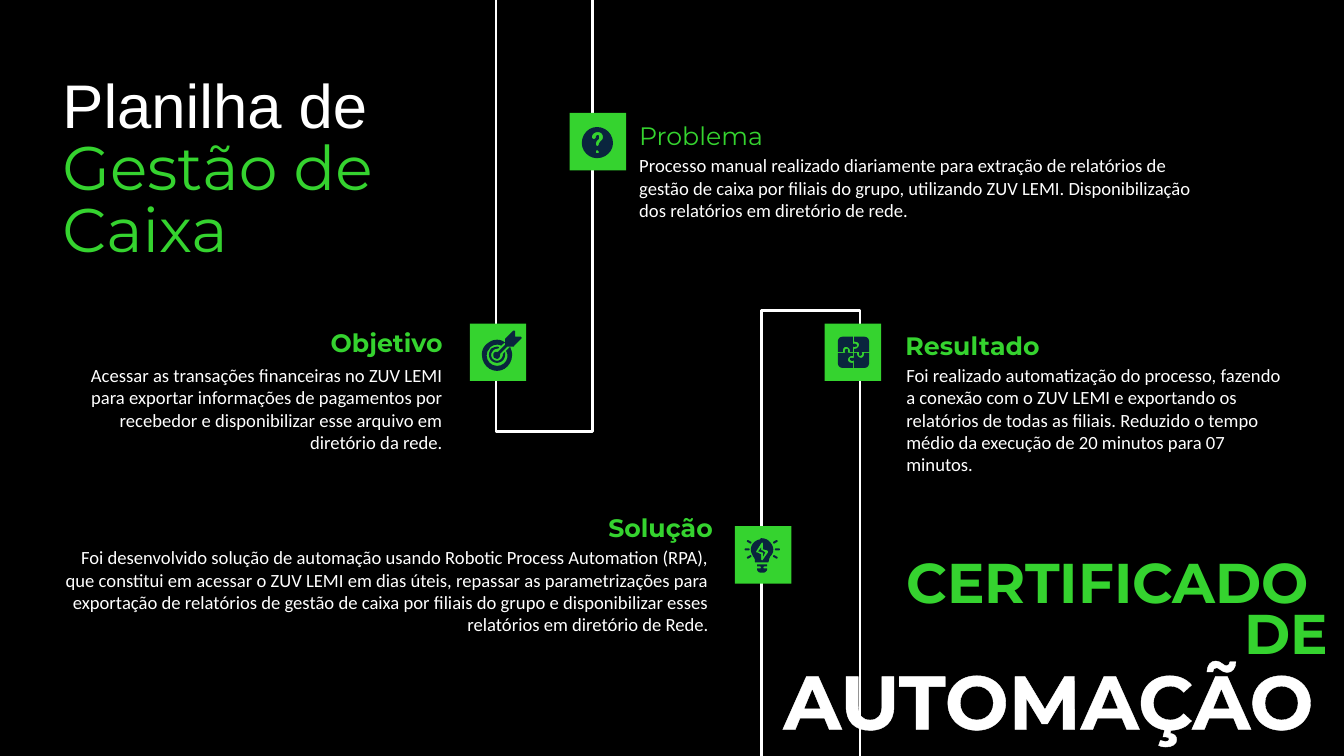
import math
from dataclasses import dataclass
from typing import Optional

from lxml import etree
from pptx import Presentation
from pptx import util as u
from pptx.dml.color import RGBColor
from pptx.enum import shapes, text
from pptx.oxml import ns

BLACK = RGBColor(0x00, 0x00, 0x00)
WHITE = RGBColor(0xFF, 0xFF, 0xFF)
GREEN = RGBColor(0x35, 0xD3, 0x2F)
NAVY = RGBColor(0x0A, 0x25, 0x3E)
LEFT, RIGHT = text.PP_ALIGN.LEFT, text.PP_ALIGN.RIGHT
TOP, BOTTOM = text.MSO_ANCHOR.TOP, text.MSO_ANCHOR.BOTTOM
INSET = 0.13
CURVE_STEPS = 6

Point = tuple[float, float]


@dataclass
class Area:
    left: float
    top: float
    width: float
    height: float

    def lengths(self) -> list[u.Length]:
        return [u.Inches(v) for v in (self.left, self.top, self.width, self.height)]


@dataclass
class Line:
    wording: str
    size: float
    font: str = "Montserrat"
    color: RGBColor = GREEN
    bold: bool = False
    outline: float = 0


@dataclass
class Label:
    area: Area
    lines: list[Line]
    align: text.PP_ALIGN = LEFT
    anchor: text.MSO_ANCHOR = TOP
    spacing: Optional[float | u.Length] = None


def body(area: Area, wording: str, align: text.PP_ALIGN = LEFT) -> Label:
    return Label(area, [Line(wording, 13.3, "Calibri", WHITE)], align)


def heading(area: Area, wording: str, align: text.PP_ALIGN = LEFT) -> Label:
    return Label(area, [Line(wording, 18, bold=True)], align, BOTTOM, 0.9)


def banner(area: Area, wording: str, size: float, color: RGBColor) -> Label:
    return Label(area, [Line(wording, size, color=color, bold=True, outline=1.75)], spacing=0.9)


FRAMES = [Area(7.55, 3.08, 0.98, 4.53), Area(4.92, -0.12, 0.96, 4.4)]
TILES = [Area(left, top, 0.56, 0.57)
         for left, top in ((5.65, 1.12), (4.66, 3.21), (8.18, 3.21), (7.29, 5.22))]

LABELS = [
    body(Area(6.21, 1.4, 5.82, 1.62),
         "Processo manual realizado diariamente para extração de relatórios de gestão de caixa "
         "por filiais do grupo, utilizando ZUV LEMI. Disponibilização dos relatórios em "
         "diretório de rede."),
    body(Area(8.86, 3.48, 4.06, 1.62),
         "Foi realizado automatização do processo, fazendo a conexão com o ZUV LEMI e "
         "exportando os relatórios de todas as filiais. Reduzido o tempo médio da execução de "
         "20 minutos para 07 minutos."),
    body(Area(0.52, 3.48, 4, 1.62),
         "Acessar as transações financeiras no ZUV LEMI para exportar informações de pagamentos "
         "por recebedor e disponibilizar esse arquivo em diretório da rede.", RIGHT),
    body(Area(0.5, 5.29, 6.66, 1.62),
         "Foi desenvolvido solução de automação usando Robotic Process Automation (RPA), que "
         "constitui em acessar o ZUV LEMI em dias úteis, repassar as parametrizações para "
         "exportação de relatórios de gestão de caixa por filiais do grupo e disponibilizar "
         "esses relatórios em diretório de Rede.", RIGHT),
    Label(Area(0.49, 0.66, 4.03, 1.85),
          [Line("Planilha de", 44, "Arial", WHITE), Line("Gestão de", 44), Line("Caixa", 44)],
          spacing=u.Pt(44)),
    Label(Area(6.21, 1.06, 3.76, 0.56), [Line("Problema", 18)], anchor=BOTTOM),
    heading(Area(8.85, 3.15, 3.82, 0.56), "Resultado"),
    heading(Area(0.5, 4.96, 6.7, 0.56), "Solução", RIGHT),
    heading(Area(0.7, 3.12, 3.82, 0.56), "Objetivo", RIGHT),
    banner(Area(8.86, 5.38, 5.06, 0.84), "CERTIFICADO", 40, GREEN),
    banner(Area(12.21, 5.88, 1.22, 0.96), "DE", 40, GREEN),
    banner(Area(7.64, 6.46, 5.82, 0.84), "AUTOMAÇÃO", 54, WHITE),
]

QUESTION = """M 593 131 C 596 131 598 133 598 136 C 598 138 597 139 596 140
C 595 141 594 142 594 143 C 594 144 593 145 592.5 145 C 592 145 591 144 591 143
C 591 141 592 139 594 138 C 594 137 594 137 594 136 C 594 135 594 134 593 134
C 592 134 591 135 591 136 C 591 137 590 138 589 138 C 588 138 587 137 587 136
C 587 133 590 131 593 131
M 592 149 C 593 149 594 150 594 151 C 594 152 593 152 592 152 C 591 152 591 151 591 151
C 591 149 592 149 592 149
M 592 126 C 584 126 577 133 577 142 C 577 150 584 157 592 157
C 601 157 608 150 608 142 C 608 133 601 126 592 126"""
DART = """M 510 328 C 509 328 509 328 509 328 L 502 335 C 502 335 501 336 501 336 L 501 342
L 494 349 C 494 349 493 349 493 349 C 492 349 491 349 490 350 C 489 351 489 353 490 355
C 491 355 492 356 493 356 C 494 356 495 355 495 355 C 496 354 496 352 496 351 L 503 344
L 509 344 C 509 344 510 344 510 343 L 517 336 C 518 335 517 334 516 334 L 511 334
L 511 329 C 511 328 510 328 510 328"""
INNER_RING = """M 493 344 C 491 344 489 345 487 346 C 486 348 485 350 485 352
C 485 357 489 360 493 360 C 497 360 501 357 501 352 C 501 351 501 350 501 349 L 499 351
C 499 355 496 358 493 358 C 488 358 485 352 489 348 C 490 347 491 346 493 346
C 493 346 493 346 494 346 L 495 345 C 495 344 494 344 493 344"""
OUTER_RING = """M 493 337 C 489 337 485 339 482 342 C 479 345 478 348 478 352
C 478 361 485 368 493 368 C 501 368 508 361 508 352 C 508 349 507 347 506 344
C 505 345 503 347 502 348 C 506 355 501 363 493 363 C 484 363 479 352 486 345
C 488 343 490 342 493 342 C 494 342 496 342 497 343 C 498 342 500 340 501 340
C 499 338 496 337 493 337"""
PUZZLE_PIECE = """M 847 334 L 847 339 C 848 339 848 339 848 339 C 850 339 852 340 852 342
C 852 344 850 346 848 346 C 848 346 848 346 847 346 L 847 349 L 851 349
C 852 349 853 350 852 350 C 852 350 852 351 852 351 C 852 352 852 353 853 353
C 854 353 855 352 855 351 C 855 351 855 350 855 350 C 854 350 855 349 855 349
L 862 349 L 862 339 C 862 336 860 334 857 334 L 847 334"""
BULB = """M 756 538 C 756 538 757 539 757 539 L 757 545 L 761 546 C 761 546 762 547 762 547
C 762 547 762 547 762 548 L 757 555 C 757 556 756 556 756 556 C 755 556 755 555 755 555
L 755 550 L 751 548 C 751 548 750 548 750 548 C 750 547 750 547 750 547 L 755 539
C 755 539 756 538 756 538
M 756 534 C 755 534 754 534 754 535 C 749 536 746 539 745 543 C 744 547 746 550 747 552
C 750 556 748 556 749 558 L 762 558 C 763 556 762 556 764 552 C 766 550 767 548 767 545
C 767 542 765 539 763 537 C 761 535 758 534 756 534"""
BOLT = """M 755 543 L 752 547 L 756 548 C 757 548 757 549 757 549 L 757 552 L 759 548
L 756 546 C 755 546 755 546 755 545 L 755 543"""
BULB_BASE = """M 751 560 L 751 562 L 754 562 C 755 562 755 564 754 564 L 751 564 L 751 565
C 751 566 752 568 754 568 L 758 568 C 759 568 761 566 761 565 L 761 564 L 758 564
C 757 564 757 562 758 562 L 761 562 L 761 560 L 751 560"""
OUTLINES = [QUESTION, DART, INNER_RING, OUTER_RING, BULB, BOLT, BULB_BASE]
PUZZLE_CENTER = (846.5, 349.5)
BULB_CENTER = (7.56, 5.45)
RAY_ANGLES = (-30, 0, 30, 150, 180, 210)


def bezier(a: Point, b: Point, c: Point, d: Point) -> list[Point]:
    def at(t: float, axis: int) -> float:
        s = 1 - t
        return s**3 * a[axis] + 3 * s * s * t * b[axis] + 3 * s * t * t * c[axis] + t**3 * d[axis]

    return [(at(i / CURVE_STEPS, 0), at(i / CURVE_STEPS, 1)) for i in range(1, CURVE_STEPS + 1)]


def contours(outline: str) -> list[list[Point]]:
    result: list[list[Point]] = []
    for step in outline.replace("M", "|M").replace("L", "|L").replace("C", "|C").split("|")[1:]:
        values = [float(value) for value in step[1:].split()]
        points = list(zip(values[::2], values[1::2]))
        if step[0] == "M":
            result.append(points)
        elif step[0] == "L":
            result[-1] += points
        else:
            result[-1] += bezier(result[-1][-1], *points)
    return result


def quarter_turns(point: Point, turns: int) -> Point:
    x, y = point[0] - PUZZLE_CENTER[0], point[1] - PUZZLE_CENTER[1]
    for _ in range(turns):
        x, y = y, -x
    return x + PUZZLE_CENTER[0], y + PUZZLE_CENTER[1]


def paint(shape, color: RGBColor) -> None:
    shape.shadow.inherit = False
    shape.fill.solid()
    shape.fill.fore_color.rgb = color
    shape.line.fill.background()


def draw_outline(page, outline: str, turns: int = 0) -> None:
    builder = None
    for contour in contours(outline):
        points = [tuple(u.Inches(v / 100) for v in quarter_turns(point, turns))
                  for point in contour]
        if builder is None:
            builder = page.shapes.build_freeform(*points[0])
        else:
            builder.move_to(*points[0])
        builder.add_line_segments(points[1:], close=True)
    paint(builder.convert_to_shape(), NAVY)


def draw_ray(page, angle: int) -> None:
    x = BULB_CENTER[0] + 0.15 * math.cos(math.radians(angle))
    y = BULB_CENTER[1] + 0.15 * math.sin(math.radians(angle))
    ray = page.shapes.add_shape(shapes.MSO_SHAPE.ROUNDED_RECTANGLE,
                                *Area(x - 0.025, y - 0.01, 0.05, 0.02).lengths())
    ray.adjustments[0] = 0.5
    ray.rotation = angle
    paint(ray, NAVY)


def draw_frame(page, area: Area) -> None:
    frame = page.shapes.add_shape(shapes.MSO_SHAPE.RECTANGLE, *area.lengths())
    frame.shadow.inherit = False
    frame.fill.background()
    frame.line.color.rgb = WHITE
    frame.line.width = u.Pt(2)


def outline_span(span, line: Line) -> None:
    stroke = etree.Element(ns.qn("a:ln"), w=str(u.Pt(line.outline)))
    fill = etree.SubElement(stroke, ns.qn("a:solidFill"))
    etree.SubElement(fill, ns.qn("a:srgbClr"), val=str(line.color))
    span._r.get_or_add_rPr().insert(0, stroke)


def draw_label(page, label: Label) -> None:
    box = page.shapes.add_textbox(*label.area.lengths())
    frame = box.text_frame
    frame.word_wrap = True
    frame.vertical_anchor = label.anchor
    frame.margin_left = frame.margin_right = u.Inches(INSET)
    frame.margin_top = frame.margin_bottom = u.Inches(INSET)
    for index, line in enumerate(label.lines):
        para = frame.add_paragraph() if index else frame.paragraphs[0]
        para.alignment = label.align
        para.line_spacing = label.spacing
        span = para.add_run()
        span.text = line.wording
        para.font.name, para.font.size = line.font, u.Pt(line.size)
        para.font.bold = line.bold
        para.font.color.rgb = line.color
        if line.outline:
            outline_span(span, line)


def main() -> None:
    deck = Presentation()
    deck.slide_width, deck.slide_height = u.Inches(13.33), u.Inches(7.5)
    page = deck.slides.add_slide(deck.slide_layouts[6])
    page.background.fill.solid()
    page.background.fill.fore_color.rgb = BLACK
    for area in FRAMES:
        draw_frame(page, area)
    for area in TILES:
        paint(page.shapes.add_shape(shapes.MSO_SHAPE.RECTANGLE, *area.lengths()), GREEN)
    for outline in OUTLINES:
        draw_outline(page, outline)
    for turns in range(4):
        draw_outline(page, PUZZLE_PIECE, turns)
    for angle in RAY_ANGLES:
        draw_ray(page, angle)
    for label in LABELS:
        draw_label(page, label)
    deck.save("out.pptx")


if __name__ == "__main__":
    main()
